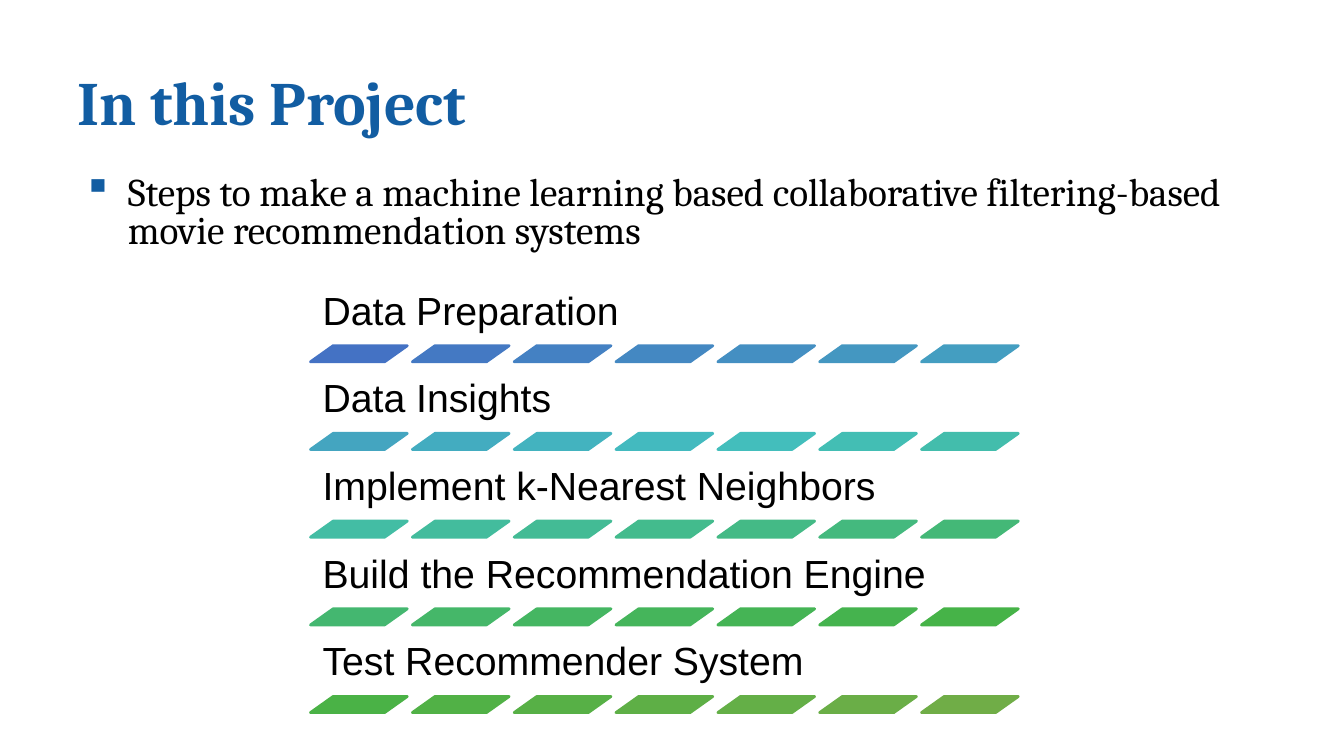
"""Build the project steps slide with its colour-graded divider rows."""
from colorsys import hls_to_rgb, rgb_to_hls
from dataclasses import dataclass

from lxml.etree import SubElement
from pptx import Presentation
from pptx.dml.color import RGBColor
from pptx.enum.shapes import MSO_SHAPE as Preset
from pptx.enum.text import MSO_ANCHOR as Anchor
from pptx.oxml.ns import qn
from pptx.util import Inches, Pt


@dataclass(frozen=True)
class Theme:
    """Hold the colours, fonts and type sizes."""
    accent: str = "125DA2"
    ink: str = "000000"
    first_dash: str = "4472C4"
    last_dash: str = "70AD47"
    serif: str = "Cambria"
    sans: str = "Arial"
    title_size: int = 44
    text_size: int = 28


THEME = Theme()
STEPS = (
    "Data Preparation",
    "Data Insights",
    "Implement k-Nearest Neighbors",
    "Build the Recommendation Engine",
    "Test Recommender System",
)
DASHES_PER_STEP = 7
STEPS_LEFT, STEPS_TOP = 3.08, 2.78
STEP_PITCH, DASH_PITCH = 0.87, 1.01
LABEL_HEIGHT = 0.65


def add_text(page, text, area, font, size, color, bold=False,
             anchor=Anchor.TOP, inset=(0.1, 0.05), spacing=0.9):
    """Add a one-paragraph text box and return its paragraph."""
    box = page.shapes.add_textbox(*map(Inches, area))
    frame = box.text_frame
    frame.word_wrap = True
    frame.vertical_anchor = anchor
    frame.margin_left = frame.margin_right = Inches(inset[0])
    frame.margin_top = frame.margin_bottom = Inches(inset[1])
    para = frame.paragraphs[0]
    para.line_spacing = spacing
    span = para.add_run()
    span.text = text
    span.font.name = font
    span.font.size = Pt(size)
    span.font.bold = bold
    span.font.color.rgb = RGBColor.from_string(color)
    return para


def add_bullet(para, mark, color):
    """Give a paragraph a coloured bullet and a hanging indent."""
    properties = para._p.get_or_add_pPr()
    properties.set("marL", str(Inches(0.5)))
    properties.set("indent", str(Inches(-0.44)))
    tint = SubElement(properties, qn("a:buClr"))
    SubElement(tint, qn("a:srgbClr"), val=color)
    SubElement(properties, qn("a:buChar"), char=mark)


def blend(start, end, share):
    """Return the colour at a share of the way through HLS space."""
    first, last = (
        rgb_to_hls(*(channel / 255 for channel in RGBColor.from_string(color)))
        for color in (start, end)
    )
    mixed = (low + (high - low) * share for low, high in zip(first, last))
    return RGBColor(*(round(channel * 255) for channel in hls_to_rgb(*mixed)))


def add_dash(page, left, top, color):
    """Add one slanted dash."""
    dash = page.shapes.add_shape(
        Preset.PARALLELOGRAM, *map(Inches, (left, top, 0.96, 0.16)))
    dash.adjustments[0] = 1.408
    dash.shadow.inherit = False
    dash.fill.solid()
    dash.fill.fore_color.rgb = color
    dash.line.color.rgb = color
    dash.line.width = Pt(2)


def add_step(page, row, label):
    """Add a step label above its row of dashes."""
    top = STEPS_TOP + row * STEP_PITCH
    add_text(page, label, (STEPS_LEFT, top, 7.17, LABEL_HEIGHT), THEME.sans,
             THEME.text_size, THEME.ink, anchor=Anchor.BOTTOM,
             inset=(0.12, 0.12))
    last_index = len(STEPS) * DASHES_PER_STEP - 1
    for column in range(DASHES_PER_STEP):
        share = (row * DASHES_PER_STEP + column) / last_index
        add_dash(page, STEPS_LEFT + column * DASH_PITCH, top + LABEL_HEIGHT,
                 blend(THEME.first_dash, THEME.last_dash, share))


def main():
    """Build and save the deck."""
    deck = Presentation()
    deck.slide_width, deck.slide_height = Inches(13.33), Inches(7.5)
    page = deck.slides.add_slide(deck.slide_layouts[6])
    add_text(page, "In this Project", (0.67, 0.28, 12, 1.53), THEME.serif,
             THEME.title_size, THEME.accent, bold=True, anchor=Anchor.MIDDLE)
    intro = add_text(
        page,
        "Steps to make a machine learning based collaborative "
        "filtering-based movie recommendation systems",
        (0.67, 1.7, 12, 1.07), THEME.serif, THEME.text_size, THEME.ink,
        spacing=0.8)
    intro.space_before = Pt(10)
    add_bullet(intro, "▪", THEME.accent)
    for row, label in enumerate(STEPS):
        add_step(page, row, label)
    deck.save("out.pptx")


main()
